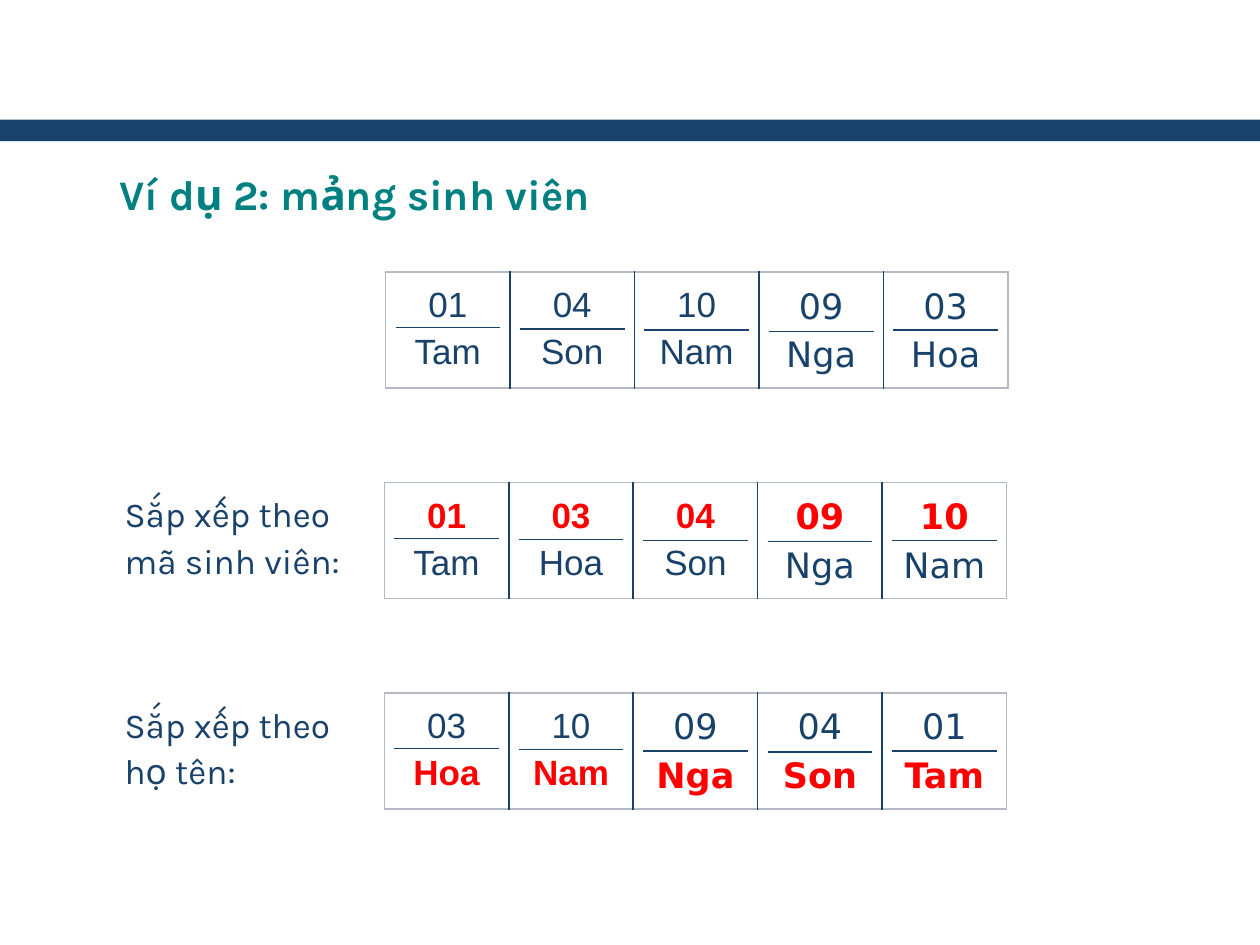
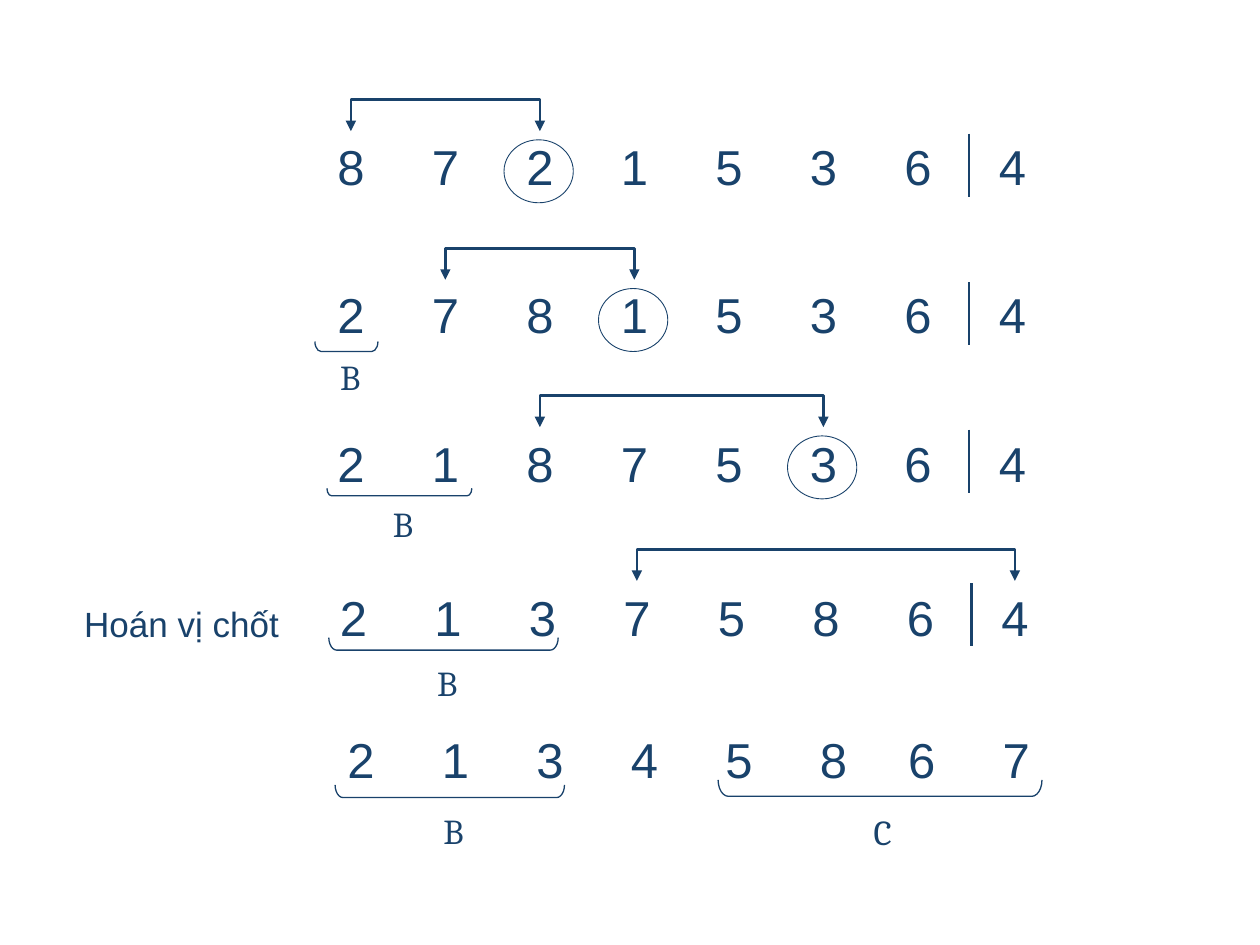
from dataclasses import dataclass
from itertools import accumulate

from lxml.etree import SubElement
from pptx import Presentation
from pptx.dml.color import RGBColor
from pptx.enum.shapes import MSO_CONNECTOR as Connector, MSO_SHAPE as Preset
from pptx.enum.text import MSO_ANCHOR as Anchor, PP_ALIGN as Align
from pptx.oxml.ns import qn
from pptx.util import Emu, Inches, Pt


@dataclass(frozen=True)
class Theme:
    navy: str = "19426B"
    teal: str = "008080"
    red: str = "FF0000"
    frame: str = "B5B9C4"
    heading_font: str = "Karla"
    cell_font: str = "Arial"
    wide_font: str = "DejaVu Sans"
    group_font: str = "Cambria"
    heading: int = 24
    number: int = 28
    body: int = 20
    thick: float = 1.5
    thin: float = 0.75
    hair: float = 0.5
    plain_table: str = "{2D5ABB26-0587-4C30-8999-92F81FD0307C}"


THEME = Theme()
COLUMNS, ROWS = 100, 75
UNIT = Inches(10) // COLUMNS


def grid(length):
    return Emu(round(length * UNIT))


@dataclass(frozen=True)
class Box:
    x: float
    y: float
    w: float
    h: float

    def emu(self):
        return [grid(n) for n in (self.x, self.y, self.w, self.h)]

    def inner(self, x, y, w, h):
        return Box(self.x + x, self.y + y, w, h)


@dataclass(frozen=True)
class Group:
    label: str
    first: float
    last: float
    drop: float
    depth: float
    label_drop: float


@dataclass(frozen=True)
class Step:
    numbers: str
    box: Box
    swap: tuple = ()
    ringed: int | None = None
    divided: bool = True
    groups: tuple = ()
    widths: tuple = (7.5,) * 8


def write(paragraph, text, size, font, color=THEME.navy, bold=False):
    run = paragraph.add_run()
    run.text = text
    run.font.size = Pt(size)
    run.font.name = font
    run.font.bold = bold
    run.font.color.rgb = RGBColor.from_string(color)


def fill_frame(frame, text, size, font, color=THEME.navy, bold=False):
    frame.word_wrap = True
    frame.vertical_anchor = Anchor.TOP
    paragraph = frame.paragraphs[0]
    paragraph.alignment = Align.LEFT
    paragraph.line_spacing = 1.1
    paragraph.space_before = Pt(size * 0.2)
    write(paragraph, text, size, font, color, bold)


def add_label(slide, box, text, font):
    frame = slide.shapes.add_textbox(*box.emu()).text_frame
    fill_frame(frame, text, THEME.body, font)


def outline(shape, width):
    shape.line.color.rgb = RGBColor.from_string(THEME.navy)
    shape.line.width = Pt(width)


def hollow(shape, width):
    shape.shadow.inherit = False
    shape.fill.background()
    outline(shape, width)


def add_rule(slide, x1, y1, x2, y2, width):
    ends = [grid(n) for n in (x1, y1, x2, y2)]
    rule = slide.shapes.add_connector(Connector.STRAIGHT, *ends)
    outline(rule, width)
    SubElement(rule._element.spPr, qn("a:effectLst"))


def add_plain_table(slide, box, widths):
    table = slide.shapes.add_table(1, len(widths), *box.emu()).table
    table.first_row = table.horz_banding = False
    table._tbl.tblPr.find(qn("a:tableStyleId")).text = THEME.plain_table
    for column, width in zip(table.columns, widths):
        column.width = grid(width)
    return table


def add_borders(cell, colors):
    properties = cell._tc.get_or_add_tcPr()
    for side, color in zip("LRTB", colors):
        edge = SubElement(properties, qn(f"a:ln{side}"), w=str(Pt(1)))
        paint = SubElement(edge, qn("a:solidFill"))
        SubElement(paint, qn("a:srgbClr"), val=color)


def heading_region(slide, box, text):
    band = slide.shapes.add_shape(Preset.RECTANGLE, *Box(0, 9.5, COLUMNS, 1.7).emu())
    band.shadow.inherit = False
    band.fill.solid()
    band.fill.fore_color.rgb = RGBColor.from_string(THEME.navy)
    band.line.fill.background()
    title = slide.shapes.title
    title.left, title.top, title.width, title.height = box.emu()
    fill_frame(title.text_frame, text, THEME.heading, THEME.heading_font, THEME.teal, True)


def student_array(slide, box, students, narrow_count, sorted_field=None):
    width = box.w / len(students)
    table = add_plain_table(slide, box, [width] * len(students))
    last = len(students) - 1
    rule_heights = (0.48, 0.49, 0.5, 0.51, 0.5)
    for i, (student, height) in enumerate(zip(students, rule_heights)):
        cell = table.cell(0, i)
        left = THEME.frame if i == 0 else THEME.navy
        right = THEME.frame if i == last else THEME.navy
        add_borders(cell, (left, right, THEME.frame, THEME.frame))
        cell.fill.background()
        font = THEME.cell_font if i < narrow_count else THEME.wide_font
        for field, text in enumerate(student):
            frame = cell.text_frame
            paragraph = frame.add_paragraph() if field else frame.paragraphs[0]
            paragraph.alignment = Align.CENTER
            paragraph.line_spacing = 1.2
            key = field == sorted_field
            write(paragraph, text, THEME.body, font, THEME.red if key else THEME.navy, key)
        x, y = box.x + i * width, box.y + height * box.h
        add_rule(slide, x + 0.08 * width, y, x + 0.92 * width, y, THEME.thin)


def swap_arrow(slide, start, end, top):
    high, low = grid(top - 2.7), grid(top - 0.2)
    builder = slide.shapes.build_freeform(grid(start), low)
    builder.add_line_segments(
        [(grid(start), high), (grid(end), high), (grid(end), low)], close=False)
    arrow = builder.convert_to_shape()
    hollow(arrow, THEME.thick)
    for tip in ("a:headEnd", "a:tailEnd"):
        SubElement(arrow.line._get_or_add_ln(), qn(tip), type="triangle")


def group_bracket(slide, box, group):
    middle = box.x + (group.first + group.last) / 2
    span = group.last - group.first
    center = box.y + group.drop + group.depth / 2
    upright = Box(middle - group.depth / 2, center - span / 2, group.depth, span)
    bracket = slide.shapes.add_shape(Preset.LEFT_BRACKET, *upright.emu())
    bracket.rotation = 270
    bracket.adjustments[0] = 0.629
    hollow(bracket, THEME.thin)
    label_box = Box(middle - 1.5, box.y + group.label_drop, 3.9, 5)
    add_label(slide, label_box, group.label, THEME.group_font)


def partition_step(slide, step):
    box = step.box
    table = add_plain_table(slide, box, step.widths)
    for cell, number in zip(table.rows[0].cells, step.numbers):
        cell.fill.background()
        cell.vertical_anchor = Anchor.MIDDLE
        paragraph = cell.text_frame.paragraphs[0]
        paragraph.alignment = Align.CENTER
        write(paragraph, number, THEME.number, THEME.cell_font)
    centers = [box.x + edge - width / 2
               for edge, width in zip(accumulate(step.widths), step.widths)]
    if step.divided:
        x = box.x + 52.8
        add_rule(slide, x, box.y, x, box.y + 5, THEME.thick)
    if step.swap:
        swap_arrow(slide, *(centers[i] for i in step.swap), box.y)
    if step.ringed is not None:
        ring_box = Box(centers[step.ringed] - 2.85, box.y + 0.5, 5.5, 5)
        ring = slide.shapes.add_shape(Preset.OVAL, *ring_box.emu())
        hollow(ring, THEME.hair)
    for group in step.groups:
        group_bracket(slide, box, group)


def student_slide(deck):
    slide = deck.slides.add_slide(deck.slide_layouts[5])
    heading_region(slide, Box(8.5, 12.5, 55.6, 5.8), "Ví dụ 2: mảng sinh viên")
    tam, son, nam, nga, hoa = students = (
        ("01", "Tam"), ("04", "Son"), ("10", "Nam"), ("09", "Nga"), ("03", "Hoa"))
    student_array(slide, Box(30.6, 21.6, 49.4, 9.2), students, 3)
    orders = (
        ("Sắp xếp theo mã sinh viên:", 38.3, (tam, hoa, son, nga, nam), 3),
        ("Sắp xếp theo họ tên:", 55, (hoa, nam, nga, son, tam), 2))
    for field, (caption, top, ordered, narrow_count) in enumerate(orders):
        add_label(slide, Box(8.9, top, 19.2, 9.2), caption, THEME.heading_font)
        student_array(slide, Box(30.5, top, 49.4, 9.2), ordered, narrow_count, field)


def partition_slide(deck):
    slide = deck.slides.add_slide(deck.slide_layouts[6])
    row = Box(24.1, 10.6, 60, 5.5)
    steps = (
        Step("87215364", row, (0, 2), 2),
        Step("27815364", row.inner(0, 11.8, 60, 5.5), (1, 3), 3,
             groups=(Group("B", 0.9, 5.9, 4.7, 0.8, 5),)),
        Step("21875364", row.inner(0, 23.5, 60, 5.5), (2, 5), 5,
             groups=(Group("B", 1.85, 13.35, 4.65, 0.6, 5),)),
        Step("21375864", row.inner(0.2, 35.7, 60, 5.5), (3, 7),
             groups=(Group("B", 1.8, 20, 4.3, 1, 5.4),)),
        Step("21345867", row.inner(0.8, 47, 60, 5.5), divided=False,
             groups=(Group("B", 1.7, 19.9, 4.7, 1, 5.8),
                     Group("C", 32.1, 57.8, 4.3, 1.3, 5.9)),
             widths=(7.5,) * 6 + (6.5, 8.5)))
    for step in steps:
        partition_step(slide, step)
    add_label(slide, Box(5.7, 47, 20, 5), "Hoán vị chốt", THEME.cell_font)


def main():
    deck = Presentation()
    deck.slide_width, deck.slide_height = grid(COLUMNS), grid(ROWS)
    student_slide(deck)
    partition_slide(deck)
    deck.save("out.pptx")


if __name__ == "__main__":
    main()
